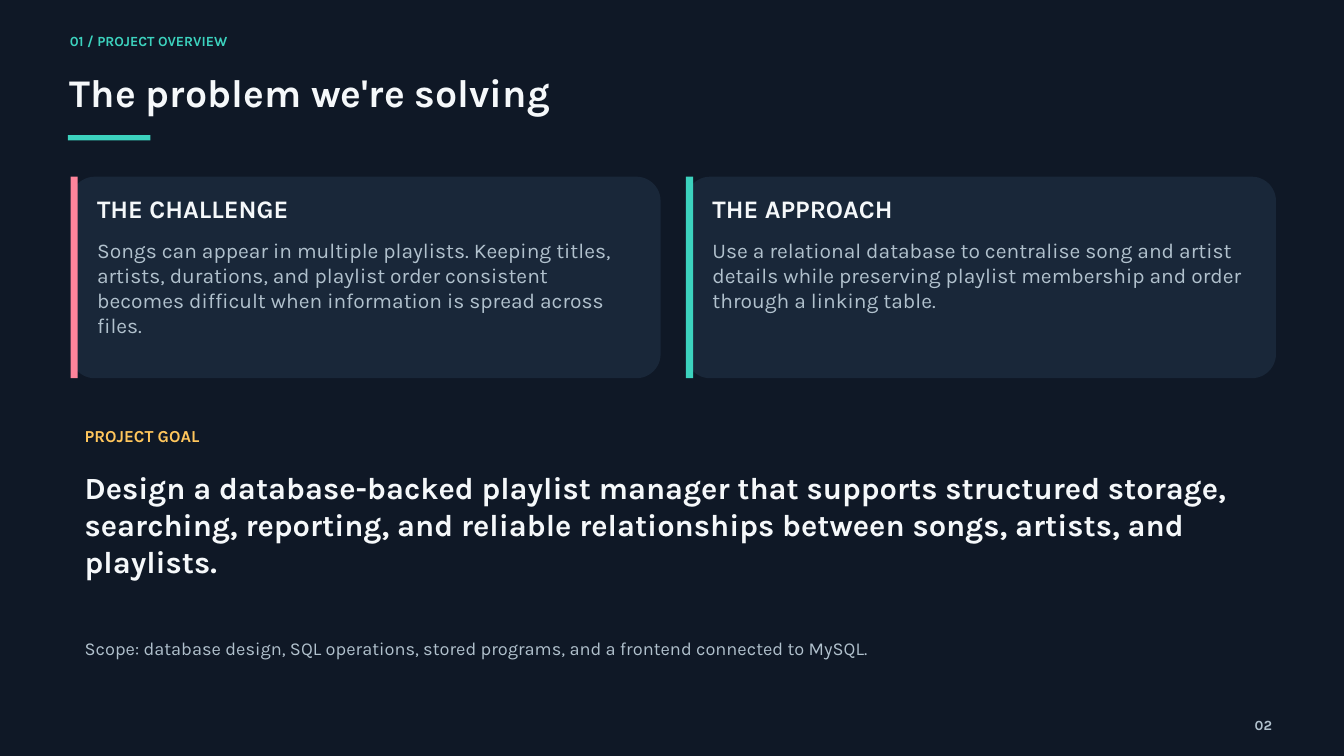
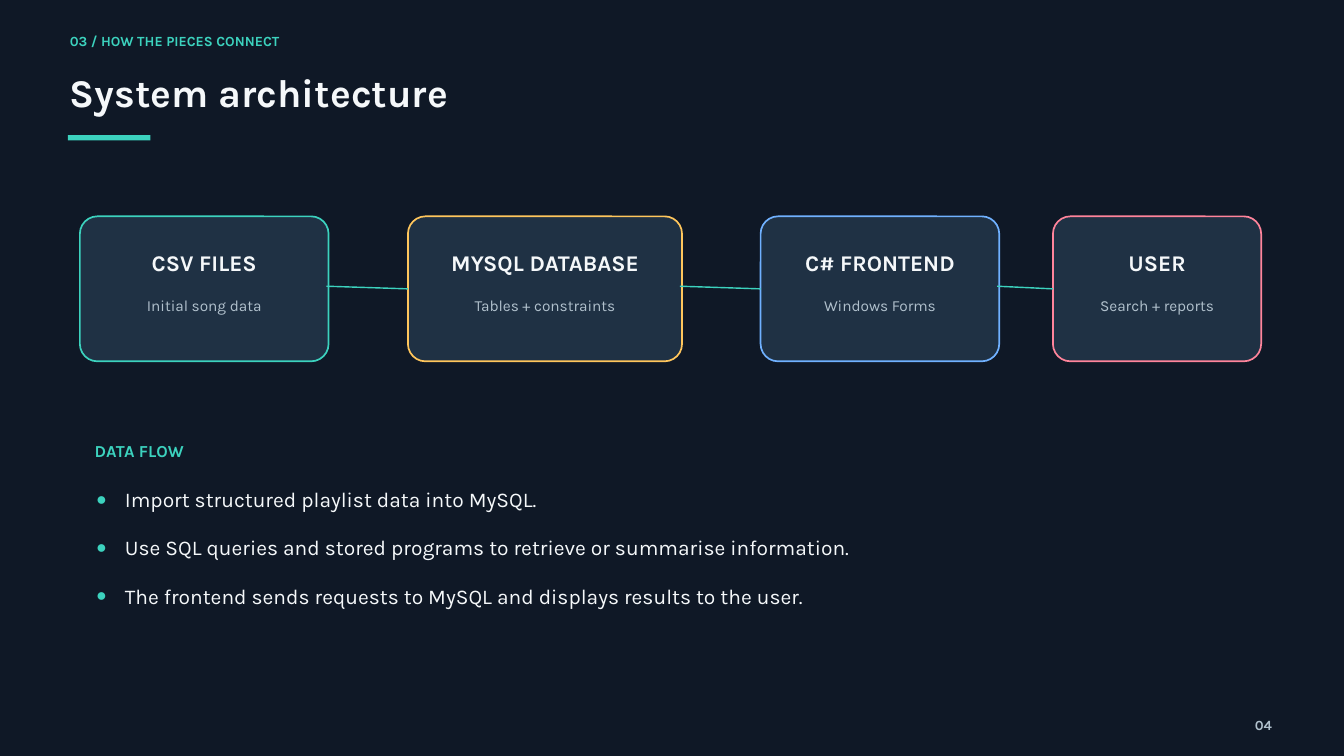
from lxml import etree
from pptx import Presentation
from pptx.dml.color import RGBColor
from pptx.enum.shapes import MSO_CONNECTOR, MSO_SHAPE
from pptx.enum.text import MSO_ANCHOR, MSO_AUTO_SIZE, PP_ALIGN
from pptx.oxml.ns import qn
from pptx.util import Cm, Pt

RECT, ROUND = MSO_SHAPE.RECTANGLE, MSO_SHAPE.ROUNDED_RECTANGLE
STRAIGHT = MSO_CONNECTOR.STRAIGHT
LEFT, MID, RIGHT = PP_ALIGN.LEFT, PP_ALIGN.CENTER, PP_ALIGN.RIGHT
TOP, FIXED = MSO_ANCHOR.TOP, MSO_AUTO_SIZE.NONE
TITLE_LIST, TITLE_ONLY = 1, 5

NAVY = RGBColor(0x0F, 0x18, 0x26)
PANEL = RGBColor(0x19, 0x27, 0x39)
SLATE = RGBColor(0x1F, 0x31, 0x44)
TEAL = RGBColor(0x3C, 0xD2, 0xBE)
PINK = RGBColor(0xFF, 0x84, 0x9B)
GOLD = RGBColor(0xFF, 0xC6, 0x5C)
BLUE = RGBColor(0x70, 0xB1, 0xFF)
WHITE = RGBColor(0xF5, 0xF8, 0xFA)
GREY = RGBColor(0xB1, 0xC1, 0xCD)
FONT = "Karla"
LEADING = 1.2
CORNER = 0.12

CARDS = [
    ("THE CHALLENGE", PINK,
     "Songs can appear in multiple playlists. Keeping titles, artists, "
     "durations, and playlist order consistent becomes difficult when "
     "information is spread across files."),
    ("THE APPROACH", TEAL,
     "Use a relational database to centralise song and artist details while "
     "preserving playlist membership and order through a linking table."),
]
GOAL = ("Design a database-backed playlist manager that supports structured "
        "storage, searching, reporting, and reliable relationships between "
        "songs, artists, and playlists.")
SCOPE = ("Scope: database design, SQL operations, stored programs, and a "
         "frontend connected to MySQL.")

# name, detail, outline, left, width
NODES = [
    ("CSV FILES", "Initial song data", TEAL, 3.02, 9.4),
    ("MYSQL DATABASE", "Tables + constraints", GOLD, 15.42, 10.36),
    ("C# FRONTEND", "Windows Forms", BLUE, 28.75, 9.02),
    ("USER", "Search + reports", PINK, 39.8, 7.87),
]
FLOW = [
    "Import structured playlist data into MySQL.",
    "Use SQL queries and stored programs to retrieve or summarise information.",
    "The frontend sends requests to MySQL and displays results to the user.",
]


def place(shape, left, top, width, height):
    shape.left, shape.top = Cm(left), Cm(top)
    shape.width, shape.height = Cm(width), Cm(height)


def add_bullet(para):
    props = para._p.get_or_add_pPr()
    props.set("marL", str(Cm(1.09)))
    props.set("indent", str(-Cm(1.09)))
    color = etree.SubElement(props, qn("a:buClr"))
    etree.SubElement(color, qn("a:srgbClr"), val=str(TEAL))
    etree.SubElement(props, qn("a:buSzPct"), val="85000")
    etree.SubElement(props, qn("a:buFont"), typeface="Arial")
    etree.SubElement(props, qn("a:buChar"), char="●")


def write(shape, lines, size, color, bold=False, align=LEFT, gap=0,
          bullets=False):
    """Fill a shape with one paragraph per line, gap points apart."""
    frame = shape.text_frame
    frame.word_wrap, frame.auto_size = True, FIXED
    frame.vertical_anchor = TOP
    frame.margin_left = frame.margin_right = 0
    frame.margin_top = frame.margin_bottom = 0
    for i, line in enumerate(lines):
        para = frame.add_paragraph() if i else frame.paragraphs[0]
        if bullets:
            add_bullet(para)
        para.alignment = align
        para.line_spacing = Pt(size * LEADING)
        para.space_before = Pt(gap if i else 0)
        run = para.add_run()
        run.text = line
        font = run.font
        font.name, font.size, font.bold = FONT, Pt(size), bold
        font.color.rgb = color


def label(slide, box, text, size, color, bold=False, align=LEFT):
    shape = slide.shapes.add_textbox(*map(Cm, box))
    write(shape, [text], size, color, bold, align)


def block(slide, kind, box, fill, line=None):
    shape = slide.shapes.add_shape(kind, *map(Cm, box))
    shape.shadow.inherit = False
    shape.fill.solid()
    shape.fill.fore_color.rgb = fill
    if kind == ROUND:
        shape.adjustments[0] = CORNER
    if line is None:
        shape.line.fill.background()
    else:
        shape.line.color.rgb = line
        shape.line.width = Pt(1.8)
    return shape


def start(prs, layout, section, title, number):
    """Add a slide with the section tag, title, rule and page number."""
    slide = prs.slides.add_slide(prs.slide_layouts[layout])
    label(slide, (2.64, 1.22, 30.2, 0.81), section, 15, TEAL, True)
    place(slide.shapes.title, 2.64, 2.57, 45.44, 2.06)
    write(slide.shapes.title, [title], 42, WHITE, True)
    block(slide, RECT, (2.57, 5.11, 3.12, 0.2), TEAL)
    label(slide, (46.48, 27.08, 1.6, 0.53), number, 15, GREY, True, RIGHT)
    return slide


def add_problem(prs):
    slide = start(prs, TITLE_ONLY, "01 / PROJECT OVERVIEW",
                  "The problem we're solving", "02")
    top, width, height, pitch = 6.68, 22.3, 7.62, 23.26
    for i, (head, color, body) in enumerate(CARDS):
        left = 2.67 + i * pitch
        block(slide, ROUND, (left, top, width, height), PANEL)
        block(slide, RECT, (left, top, 0.27, height), color)
        label(slide, (left + 1, top + 0.64, 20.47, 1.19), head, 27, WHITE, True)
        label(slide, (left + 1, top + 2.29, 20.47, 4.88), body, 22.5, GREY)
    label(slide, (3.2, 16.08, 18.77, 0.99), "PROJECT GOAL", 18, GOLD, True)
    label(slide, (3.2, 17.73, 43.92, 3.84), GOAL, 33, WHITE, True)
    label(slide, (3.2, 24.1, 43.54, 1.19), SCOPE, 19.5, GREY)


def add_link(slide, x, y, target):
    """Draw a line from a point to the left side of the target."""
    link = slide.shapes.add_connector(STRAIGHT, Cm(x), Cm(y), Cm(x), Cm(y))
    link.end_connect(target, 1)
    link.line.color.rgb = TEAL
    link.line.width = Pt(1.5)
    etree.SubElement(link._element.spPr, qn("a:effectLst"))


def add_system(prs):
    slide = start(prs, TITLE_LIST, "03 / HOW THE PIECES CONNECT",
                  "System architecture", "04")
    top, height, inset = 8.18, 5.48, 0.56
    boxes = []
    for name, detail, color, left, width in NODES:
        boxes.append(block(slide, ROUND, (left, top, width, height),
                           SLATE, color))
        inner = left + inset, width - 2 * inset
        label(slide, (inner[0], top + 1.24, inner[1], 1.07), name,
              24, WHITE, True, MID)
        label(slide, (inner[0], top + 3.02, inner[1], 0.81), detail,
              16.5, GREY, align=MID)
    for (*_, left, width), target in zip(NODES, boxes[1:]):
        add_link(slide, left + width - 0.08, top + 2.64, target)
    label(slide, (3.58, 16.66, 14.94, 0.99), "DATA FLOW", 18, TEAL, True)
    body = slide.placeholders[1]
    place(body, 3.63, 18.39, 38.91, 4.95)
    write(body, FLOW, 22.5, WHITE, gap=24.8, bullets=True)


def main():
    prs = Presentation()
    prs.slide_width, prs.slide_height = Cm(50.8), Cm(28.58)
    back = prs.slide_master.background.fill
    back.solid()
    back.fore_color.rgb = NAVY
    add_problem(prs)
    add_system(prs)
    prs.save("out.pptx")


if __name__ == "__main__":
    main()
